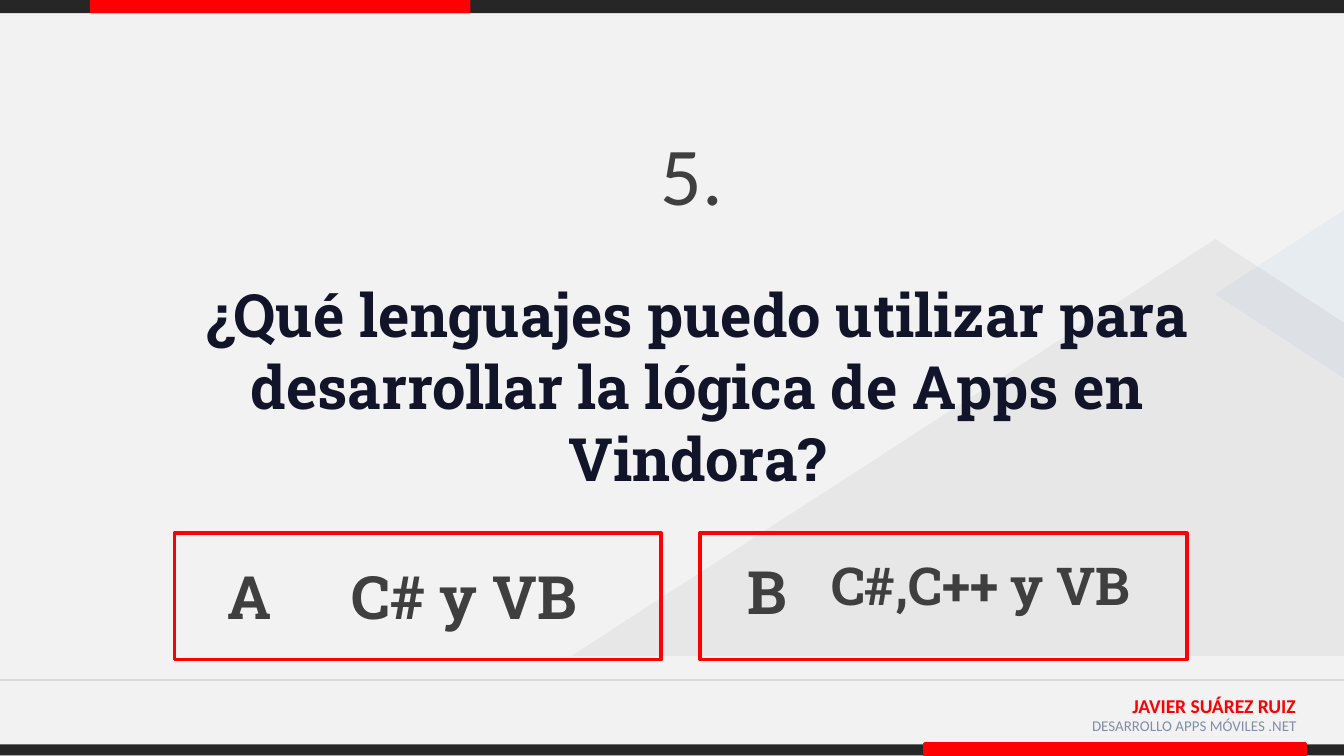
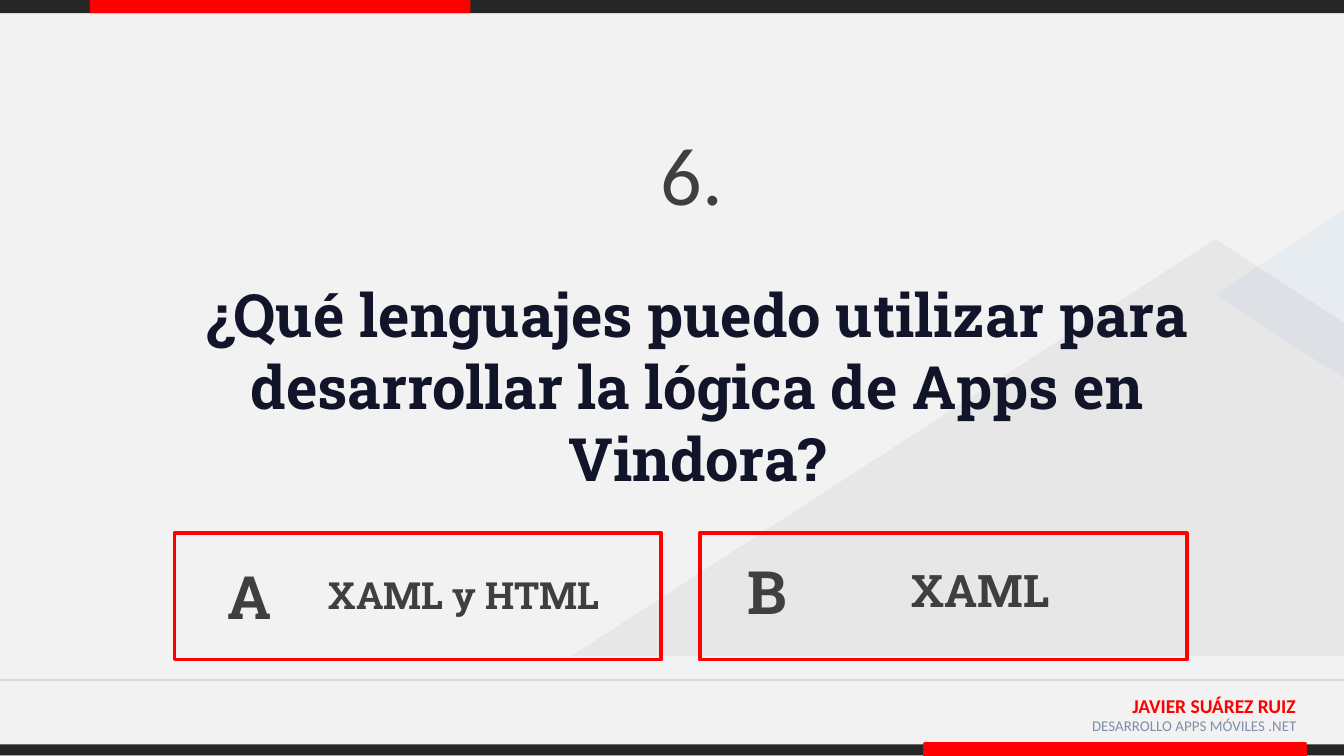
from collections import namedtuple

from lxml import etree
from pptx import Presentation
from pptx.dml.color import RGBColor
from pptx.enum.shapes import MSO_CONNECTOR, MSO_SHAPE
from pptx.enum.text import MSO_ANCHOR, MSO_AUTO_SIZE, PP_ALIGN
from pptx.oxml.ns import qn
from pptx.util import Cm, Pt

RECTANGLE, TRIANGLE = MSO_SHAPE.RECTANGLE, MSO_SHAPE.ISOSCELES_TRIANGLE
STRAIGHT = MSO_CONNECTOR.STRAIGHT
TOP, MIDDLE = MSO_ANCHOR.TOP, MSO_ANCHOR.MIDDLE
CENTER, RIGHT = PP_ALIGN.CENTER, PP_ALIGN.RIGHT
GROW, FIXED = MSO_AUTO_SIZE.SHAPE_TO_FIT_TEXT, MSO_AUTO_SIZE.NONE

COLORS = {
    "paper": "F2F2F2", "dark": "262626", "red": "FF0000", "rule": "D9D9D9",
    "blue": "297FD5", "slate": "7F8FA9", "navy": "121429", "gray": "3F3F3F",
}
SANS, SLAB = "Calibri", "Roboto Slab"
NUMBER = {"name": SANS, "size": Pt(44), "color": "gray"}
QUESTION = {"name": SLAB, "size": Pt(32), "bold": True, "color": "navy"}
ANSWER = {"name": SLAB, "size": Pt(32), "bold": True, "color": "gray"}
AUTHOR = {"name": SANS, "size": Pt(10.5), "bold": True, "color": "red"}
COURSE = {"name": SANS, "size": Pt(8), "color": "slate"}

# All boxes are in centimetres.
Box = namedtuple("Box", "left top width height")
PAGE = Box(0, 0, 25.4, 14.29)
ACCENT_WIDTH = 7.19
ANSWER_BOXES = [Box(left, 10.08, 9.2, 2.39) for left in (3.3, 13.23)]
LETTER_BOXES = [Box(0.41, 0.38, 2.03, 1.63), Box(0.25, 0.28, 2.03, 1.63)]

TEXT = "¿Qué lenguajes puedo utilizar para desarrollar la lógica de Apps en Vindora?"
QUESTIONS = [
    ("5.", TEXT, [("C# y VB", 32, Box(2.16, 0.38, 6.63, 1.63)),
                  ("C#,C++ y VB", 28, Box(1.75, 0.25, 7.11, 1.45))]),
    ("6.", TEXT, [("XAML y HTML", 20, Box(2.16, 0.61, 6.63, 1.12)),
                  ("XAML", 24, Box(1.75, 0.43, 7.11, 1.27))]),
]


def rgb(name):
    return RGBColor.from_string(COLORS[name])


def lengths(box):
    return [Cm(value) for value in box]


def inside(outer, part):
    """Turn a box relative to outer into a box on the page."""
    return part._replace(left=outer.left + part.left, top=outer.top + part.top)


def write(shape, text, style, align=CENTER, anchor=TOP, fit=FIXED):
    frame = shape.text_frame
    frame.word_wrap = True
    frame.auto_size = fit
    frame.vertical_anchor = anchor
    frame.text = text
    para = frame.paragraphs[0]
    para.alignment = align
    font = para.runs[0].font
    for key, value in style.items():
        if key == "color":
            font.color.rgb = rgb(value)
        else:
            setattr(font, key, value)


def add_text(page, box, text, style, **layout):
    write(page.shapes.add_textbox(*lengths(box)), text, style, **layout)


def paint(shape, fill=None, line=None, alpha=None):
    """Set fill and outline; alpha is the opacity of the fill in percent."""
    shape.shadow.inherit = False
    if fill:
        shape.fill.solid()
        shape.fill.fore_color.rgb = rgb(fill)
    else:
        shape.fill.background()
    if line:
        shape.line.color.rgb = rgb(line)
        shape.line.width = Pt(2)
    else:
        shape.line.fill.background()
    if alpha:
        color = shape.element.spPr.find(qn("a:solidFill"))[0]
        etree.SubElement(color, qn("a:alpha")).set("val", str(alpha * 1000))


def add_rectangle(page, box, **look):
    paint(page.shapes.add_shape(RECTANGLE, *lengths(box)), **look)


def add_band(page, box, accent_left, line=None):
    """Dark band over the whole box with a red accent on it."""
    add_rectangle(page, box, fill="dark")
    accent = Box(accent_left, 0, ACCENT_WIDTH, box.height)
    add_rectangle(page, inside(box, accent), fill="red", line=line)


def add_footer(page, box):
    add_text(page, inside(box, Box(20.14, 0.15, 4.6, 0.79)),
             "JAVIER SUÁREZ RUIZ", AUTHOR, align=RIGHT)
    add_text(page, inside(box, Box(19.6, 0.58, 5.16, 0.79)),
             "DESARROLLO APPS MÓVILES .NET", COURSE, align=RIGHT)
    add_band(page, inside(box, Box(0, 1.22, box.width, 0.21)), 17.48, line="red")
    rule = page.shapes.add_connector(
        STRAIGHT, *lengths((box.left, box.top, box.left + box.width, box.top)))
    rule.line.color.rgb = rgb("rule")
    rule.line.width = Pt(0.75)
    etree.SubElement(rule.element.spPr, qn("a:effectLst"))


def add_mountains(page, box):
    """Pale hill along the bottom of the box and a wedge at its right edge."""
    right, bottom = box.left + box.width, box.top + box.height
    corners = [(right, box.top + 1.58), (box.left + 12.17, box.top),
               (box.left, bottom)]
    outline = page.shapes.build_freeform(Cm(right), Cm(bottom))
    outline.add_line_segments([lengths(corner) for corner in corners], close=True)
    paint(outline.convert_to_shape(), fill="dark", alpha=5)
    wedge = page.shapes.add_shape(
        TRIANGLE, *lengths(inside(box, Box(11.79, -0.18, 3.18, 2.44))))
    wedge.rotation = 270
    paint(wedge, fill="blue", alpha=5)


def decorate(layout, page):
    """Draw the shared parts on a page, then move them to its layout."""
    layout.background.fill.solid()
    layout.background.fill.fore_color.rgb = rgb("paper")
    add_band(page, Box(0, 0, PAGE.width, 0.25), 1.7)
    add_footer(page, Box(0, 12.85, PAGE.width, 1.43))
    add_mountains(page, Box(10.8, 4.52, 14.6, 7.88))
    for shape in list(page.shapes):
        if not shape.is_placeholder:
            layout.shapes.element.append(shape.element)


def add_answer(page, box, letter, letter_box, text, size, text_box):
    add_text(page, inside(box, letter_box), letter, ANSWER, fit=GROW)
    add_text(page, inside(box, text_box), text, {**ANSWER, "size": Pt(size)},
             fit=GROW)


def fill_question(page, box, number, text, answers):
    title = page.shapes.title
    place = lengths(inside(box, Box(2.29, 5.13, 21.79, 4.37)))
    for key, value in zip(("left", "top", "width", "height"), place):
        setattr(title, key, value)
    write(title, text, QUESTION, fit=GROW)
    add_text(page, inside(box, Box(1.65, 2.06, 22.86, 2.39)), number, NUMBER,
             anchor=MIDDLE)
    frames = [inside(box, answer_box) for answer_box in ANSWER_BOXES]
    for frame in frames:
        add_rectangle(page, frame, line="red")
    for frame, letter, letter_box, answer in zip(frames, "AB", LETTER_BOXES, answers):
        add_answer(page, frame, letter, letter_box, *answer)


def main():
    deck = Presentation()
    deck.slide_width, deck.slide_height = Cm(PAGE.width), Cm(PAGE.height)
    layout = deck.slide_layouts.get_by_name("Title Only")
    pages = [deck.slides.add_slide(layout) for _ in QUESTIONS]
    decorate(layout, pages[0])
    for page, question in zip(pages, QUESTIONS):
        fill_question(page, PAGE, *question)
    deck.save("out.pptx")


if __name__ == "__main__":
    main()
